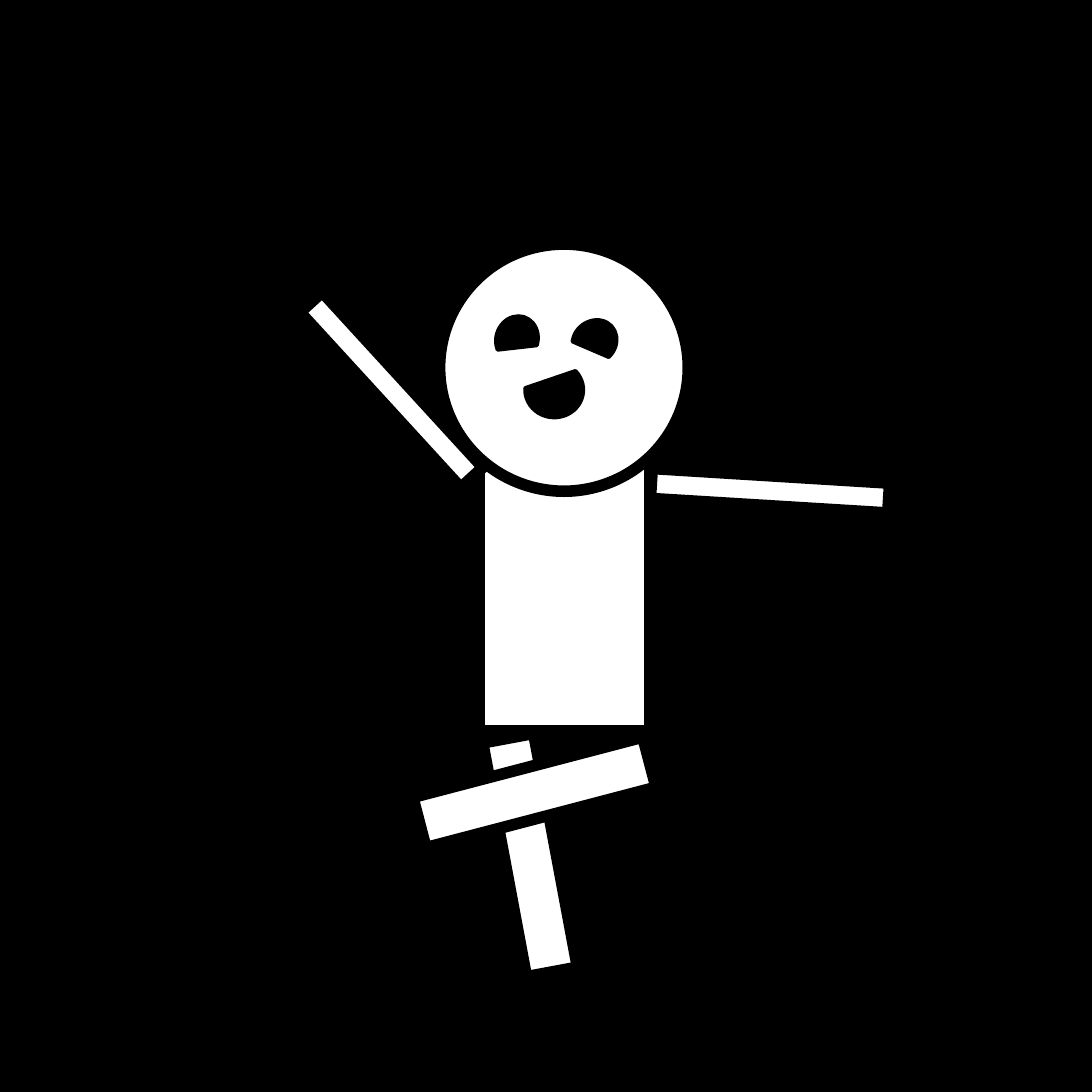
from dataclasses import dataclass

import pptx
import pptx.dml.color
import pptx.enum.shapes
import pptx.slide
import pptx.util

SHAPE = pptx.enum.shapes.MSO_SHAPE
COLOURS = {"black": "000000", "white": "FFFFFF"}
SIDE = 283.68
EYE = (12.2, 10.8)
ARM = (61.8, 7.8)
LEG = (61.8, 13.5)


@dataclass(frozen=True)
class Part:
    kind: SHAPE
    centre: tuple[float, float]
    size: tuple[float, float]
    rotation: float = 0
    fill: str = "white"
    outline: float = 3


FIGURE = [
    Part(SHAPE.RECTANGLE, (146.65, 154.9), (42.4, 67.8), outline=1),
    Part(SHAPE.OVAL, (146.5, 95.5), (64.6, 64.2)),
    Part(SHAPE.CHORD, (134.3, 88.2), EYE, 106.7, "black", 1),
    Part(SHAPE.CHORD, (154.4, 88.9), EYE, 136.4, "black", 1),
    Part(SHAPE.CHORD, (144, 101.2), (14.4, 15.1), 273.4, "black", 1),
    Part(SHAPE.RECTANGLE, (101.7, 101.3), ARM, 47.5),
    Part(SHAPE.RECTANGLE, (200, 127.5), ARM, 183.5),
    Part(SHAPE.RECTANGLE, (137.7, 222.2), LEG, 79.4),
    Part(SHAPE.RECTANGLE, (138.8, 205.8), LEG, 165.3),
]


def colour(name: str) -> pptx.dml.color.RGBColor:
    return pptx.dml.color.RGBColor.from_string(COLOURS[name])


def draw_part(page: pptx.slide.Slide, part: Part) -> None:
    width, height = part.size
    left = part.centre[0] - width / 2
    top = part.centre[1] - height / 2
    bounds = [pptx.util.Pt(length) for length in (left, top, width, height)]
    shape = page.shapes.add_shape(part.kind, *bounds)
    shape.rotation = part.rotation
    shape.shadow.inherit = False
    shape.fill.solid()
    shape.fill.fore_color.rgb = colour(part.fill)
    shape.line.color.rgb = colour("black")
    shape.line.width = pptx.util.Pt(part.outline)


def main() -> None:
    deck = pptx.Presentation()
    deck.slide_width = deck.slide_height = pptx.util.Pt(SIDE)
    page = deck.slides.add_slide(deck.slide_layouts[6])
    page.background.fill.solid()
    page.background.fill.fore_color.rgb = colour("black")
    for part in FIGURE:
        draw_part(page, part)
    deck.save("out.pptx")


if __name__ == "__main__":
    main()
